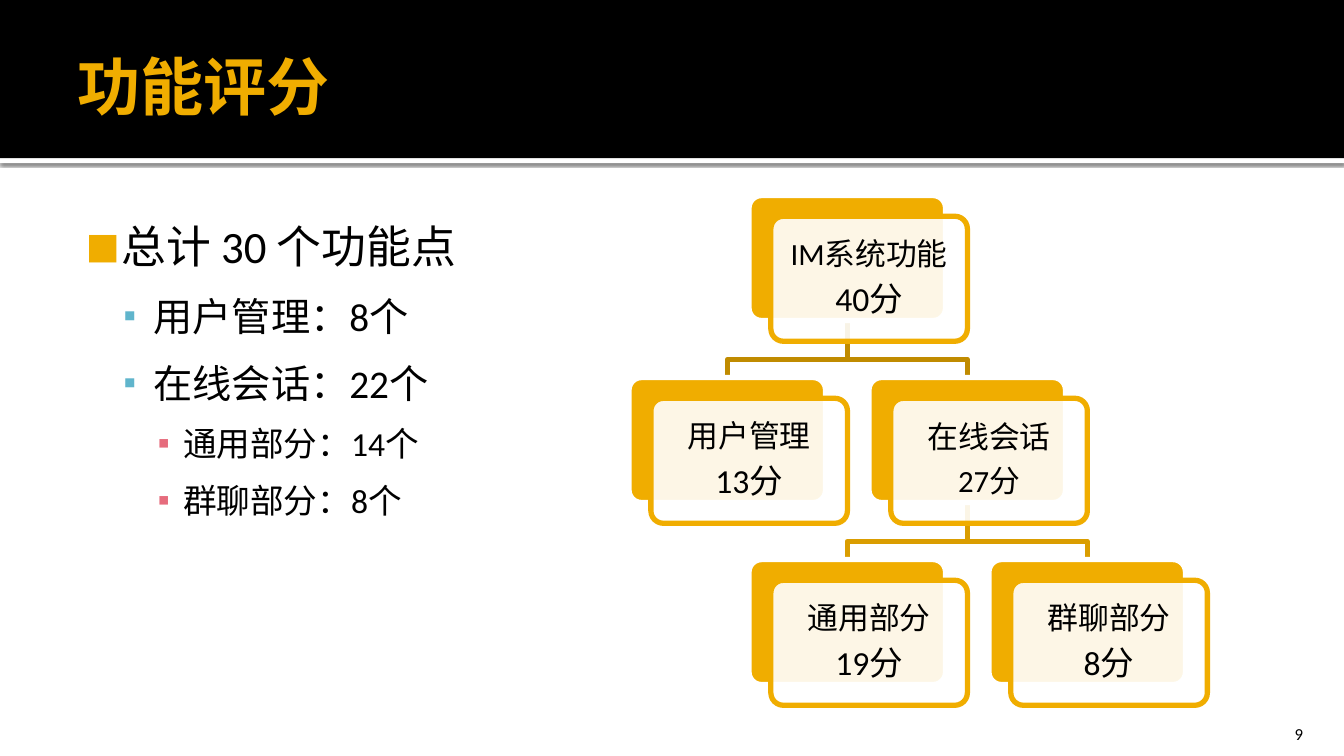
from dataclasses import dataclass

from lxml.etree import SubElement
from pptx import Presentation
from pptx.dml.color import RGBColor
from pptx.enum.shapes import MSO_SHAPE as Shape
from pptx.enum.text import MSO_ANCHOR as Anchor, PP_ALIGN as Align
from pptx.oxml.ns import qn
from pptx.util import Pt


@dataclass(frozen=True)
class Theme:
    """Colours, font and type sizes of the slide."""
    font: str = "Calibri"
    ink: str = "000000"
    paper: str = "FFFFFF"
    gold: str = "F0AD00"
    blue: str = "60B5CC"
    rose: str = "E66C7D"
    upper_link: str = "C08B00"
    lower_link: str = "DA9D00"
    outline: float = 3.78
    title: int = 45
    body: tuple = (32, 28, 24)
    label: int = 22
    score: int = 24
    number: int = 12


@dataclass(frozen=True)
class Box:
    """A rectangle in points."""
    left: float
    top: float
    width: float
    height: float

    def lengths(self):
        """Return the four lengths for python-pptx."""
        return Pt(self.left), Pt(self.top), Pt(self.width), Pt(self.height)


THEME = Theme()
LEVELS = (
    dict(size=THEME.body[0], before=0, bullet=("■", THEME.gold, 80, 34.5, 25.5)),
    dict(size=THEME.body[1], before=5.6, bullet=("▪", THEME.blue, 90, 57.5, 21.5)),
    dict(size=THEME.body[2], before=4.8, bullet=("▪", THEME.rose, 100, 78.5, 18)),
)
POINTS = (
    (0, "总计 30 个功能点"),
    (1, "用户管理：8个"),
    (1, "在线会话：22个"),
    (2, "通用部分：14个"),
    (2, "群聊部分：8个"),
)
NODES = (
    (1, 0, "IM系统功能", "40分", THEME.score),
    (0, 1, "用户管理", "13分", THEME.score),
    (2, 1, "在线会话", "27分", THEME.label),
    (1, 2, "通用部分", "19分", THEME.score),
    (3, 2, "群聊部分", "8分", THEME.score),
)
LINKS = (
    (2, 1, 3, THEME.lower_link),
    (2, 1, 1, THEME.lower_link),
    (1, 0, 2, THEME.upper_link),
    (1, 0, 0, THEME.upper_link),
)


def rgb(code):
    """Turn a hex code into a colour."""
    return RGBColor.from_string(code)


def add_bullet(para, mark, color, percent, left, hang):
    """Give a paragraph a coloured bullet and a hanging indent."""
    props = para._p.get_or_add_pPr()
    props.set("marL", str(Pt(left)))
    props.set("indent", str(-Pt(hang)))
    tint = SubElement(props, qn("a:buClr"))
    SubElement(tint, qn("a:srgbClr"), val=color)
    SubElement(props, qn("a:buSzPct"), val=str(percent * 1000))
    SubElement(props, qn("a:buFont"), typeface=THEME.font)
    SubElement(props, qn("a:buChar"), char=mark)


def write(frame, text, size, color=THEME.ink, bold=False, align=Align.LEFT,
          spacing=1.0, before=0, after=0, bullet=None):
    """Add one formatted paragraph to a text frame."""
    first = frame.paragraphs[0]
    para = frame.add_paragraph() if first.runs else first
    if bullet:
        add_bullet(para, *bullet)
    para.alignment = align
    para.line_spacing = spacing
    para.space_before, para.space_after = Pt(before), Pt(after)
    span = para.add_run()
    span.text = text
    span.font.name, span.font.size, span.font.bold = THEME.font, Pt(size), bold
    span.font.color.rgb = rgb(color)


def set_frame(frame, insets, anchor=Anchor.TOP):
    """Set wrapping, insets and anchor, and return the frame."""
    frame.word_wrap = True
    frame.vertical_anchor = anchor
    (frame.margin_left, frame.margin_top,
     frame.margin_right, frame.margin_bottom) = map(Pt, insets)
    return frame


def add_panel(page, kind, box, fill, line=None):
    """Draw a filled shape, outlined if a line colour is given."""
    panel = page.shapes.add_shape(kind, *box.lengths())
    panel.shadow.inherit = False
    panel.fill.solid()
    panel.fill.fore_color.rgb = rgb(fill)
    if line:
        panel.line.color.rgb = rgb(line)
        panel.line.width = Pt(THEME.outline)
    else:
        panel.line.fill.background()
    return panel


def add_header(page, box):
    """Draw the black band, its shadowed white rule and the title."""
    rule = add_panel(page, Shape.RECTANGLE,
                     Box(box.left, box.top + box.height, box.width, 3.6), THEME.paper)
    effects = rule._element.spPr.find(qn("a:effectLst"))
    shadow = SubElement(effects, qn("a:outerShdw"), blurRad=str(Pt(2.5)),
                        dist=str(Pt(0.8)), dir="5400000", rotWithShape="0")
    tint = SubElement(shadow, qn("a:srgbClr"), val=THEME.ink)
    SubElement(tint, qn("a:alpha"), val="60000")
    add_panel(page, Shape.RECTANGLE, box, THEME.ink)
    title_box = Box(box.left + 48, box.top + 12, box.width - 96, box.height - 14.4)
    title = page.shapes.add_textbox(*title_box.lengths())
    frame = set_frame(title.text_frame, (7.2, 3.6, 3.6, 3.6), Anchor.MIDDLE)
    write(frame, "功能评分", THEME.title, color=THEME.gold, bold=True)


def add_points(page, box):
    """Write the bulleted list of feature counts."""
    body = page.shapes.add_textbox(*box.lengths())
    frame = set_frame(body.text_frame, (4.3, 7.2, 7.2, 3.6))
    for level, text in POINTS:
        write(frame, text, spacing=1.25, **LEVELS[level])


def add_number(page, box):
    """Write the page number."""
    number = page.shapes.add_textbox(*box.lengths())
    frame = set_frame(number.text_frame, (7.2, 3.6, 7.2, 0), Anchor.BOTTOM)
    write(frame, "9", THEME.number, align=Align.RIGHT)


def add_link(page, start, end, turn, color):
    """Draw an elbow from a parent card down to a child card."""
    corners = [(start[0], turn), (end[0], turn), end]
    builder = page.shapes.build_freeform(Pt(start[0]), Pt(start[1]))
    builder.add_line_segments([(Pt(x), Pt(y)) for x, y in corners], close=False)
    link = builder.convert_to_shape()
    link.shadow.inherit = False
    link.fill.background()
    link.line.color.rgb = rgb(color)
    link.line.width = Pt(THEME.outline)


def add_node(page, box, label, score, score_size):
    """Draw a gold card with a translucent labelled card over it."""
    front_box = Box(box.left + 15.6, box.top + 14.8, box.width, box.height)
    back = add_panel(page, Shape.ROUNDED_RECTANGLE, box, THEME.gold, THEME.paper)
    front = add_panel(page, Shape.ROUNDED_RECTANGLE, front_box, THEME.paper, THEME.gold)
    back.adjustments[0] = front.adjustments[0] = 0.1
    tint = front._element.spPr.find(qn("a:solidFill")).find(qn("a:srgbClr"))
    SubElement(tint, qn("a:alpha"), val="90000")
    frame = set_frame(front.text_frame, (6.5, 6.5, 6.5, 6.5), Anchor.MIDDLE)
    for text, size in ((label, THEME.label), (score, score_size)):
        write(frame, text, size, align=Align.CENTER, spacing=0.9, after=size * 0.35)


def add_tree(page, box):
    """Draw the score tree on a grid of half columns and rows."""
    width, height = 140.4, 89.3
    half_step = (box.width - width) / 3
    row_step = (box.height - height) / 2

    def card(column, row):
        """Return the box of the card at a grid place."""
        return Box(box.left + column * half_step, box.top + row * row_step, width, height)

    for column, row, child_column, color in LINKS:
        parent, child = card(column, row), card(child_column, row + 1)
        start = (parent.left + width / 2, parent.top + height)
        end = (child.left + width / 2, child.top)
        add_link(page, start, end, start[1] + 27.7, color)
    for column, row, label, score, score_size in NODES:
        add_node(page, card(column, row), label, score, score_size)


def main():
    """Build the slide and save the deck."""
    deck = Presentation()
    deck.slide_width, deck.slide_height = Pt(960), Pt(540)
    page = deck.slides.add_slide(deck.slide_layouts[6])
    add_header(page, Box(0, 0, 960, 113))
    add_points(page, Box(48, 139.7, 864, 364.3))
    add_number(page, Box(861, 509.8, 77, 21.6))
    add_tree(page, Box(449.3, 139.7, 397.5, 349.3))
    deck.save("out.pptx")


if __name__ == "__main__":
    main()
